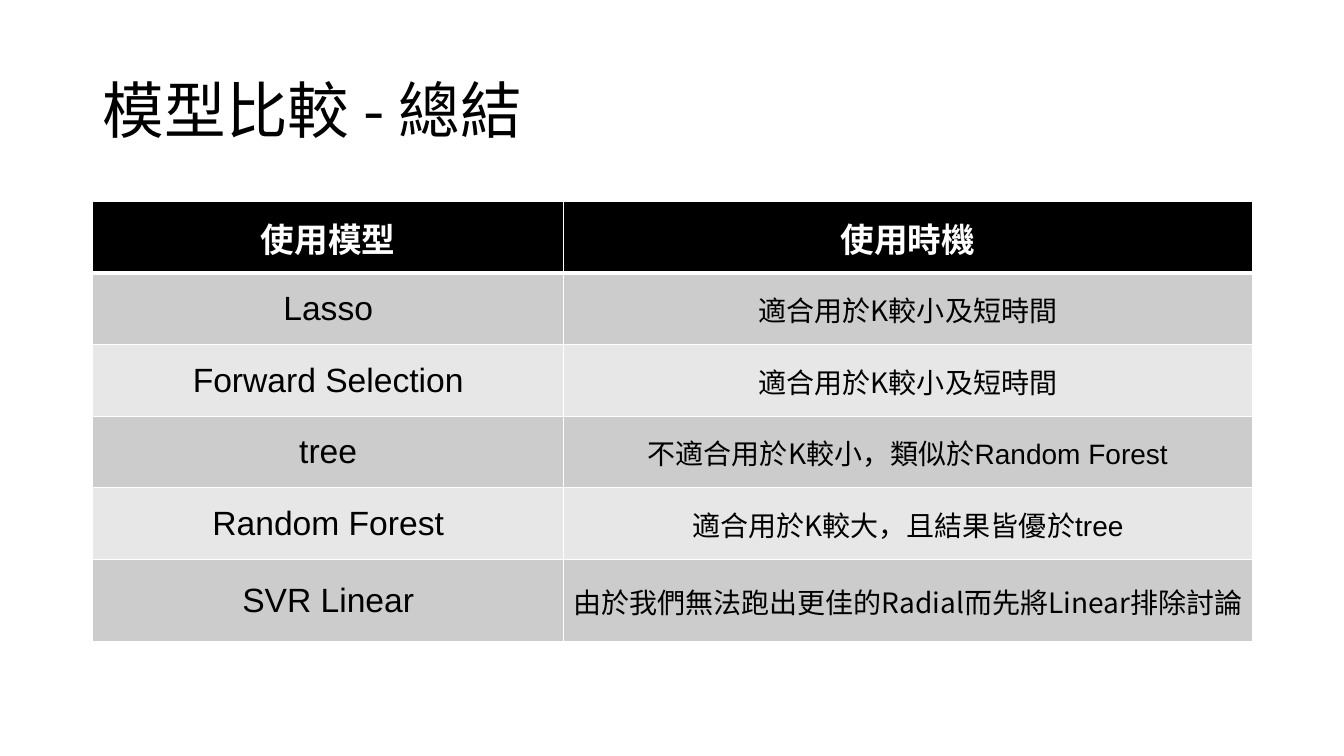
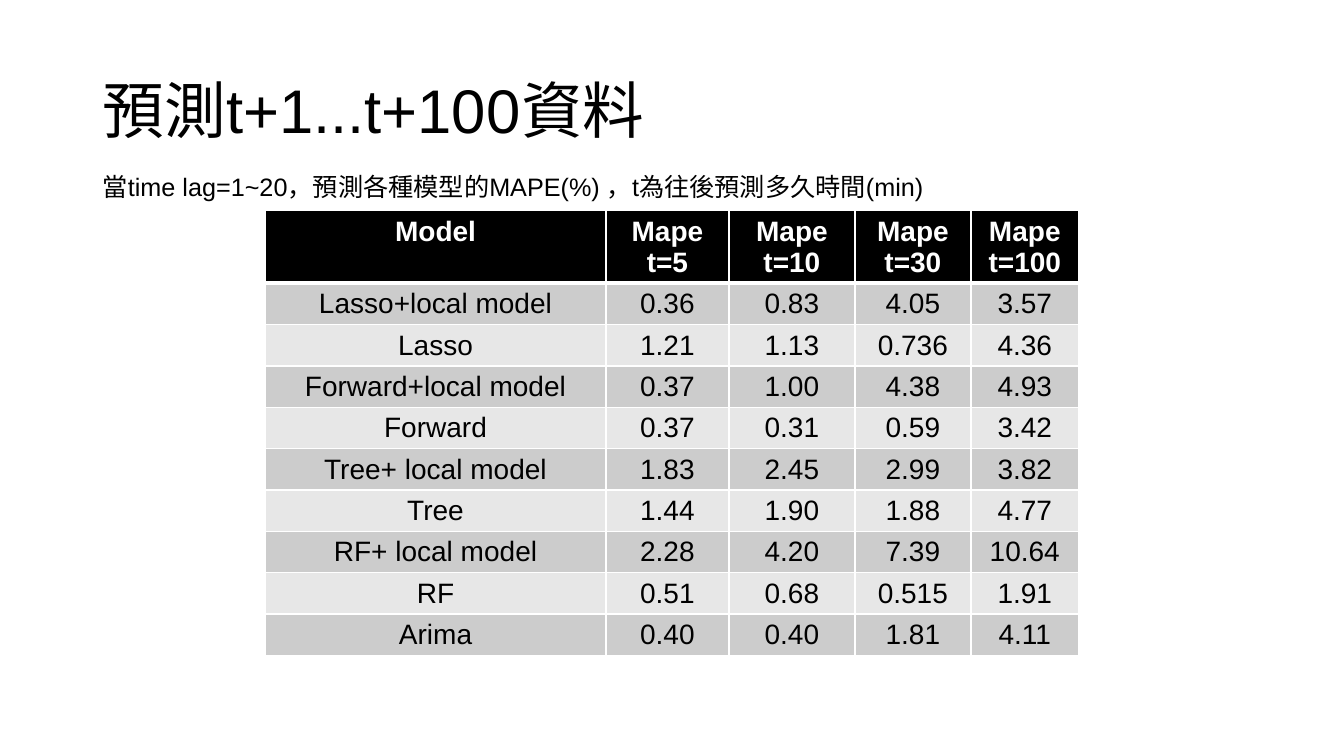
import pptx
import pptx.util
import pptx.dml.color
import pptx.enum.text
import pptx.oxml
import pptx.oxml.ns

Inches = pptx.util.Inches
Align = pptx.enum.text.PP_ALIGN
Anchor = pptx.enum.text.MSO_ANCHOR
Fit = pptx.enum.text.MSO_AUTO_SIZE

COLORS = {"ink": "000000", "paper": "FFFFFF", "dark": "CCCCCC", "light": "E7E7E7"}
LATIN = "Arial"
HAN = "Noto Sans CJK SC"
TIGHT = {"margin_left": Inches(0.01), "margin_right": Inches(0.01),
         "margin_top": Inches(0.01), "margin_bottom": Inches(0)}

USES = [
    ("使用模型", "使用時機"),
    ("Lasso", "適合用於K較小及短時間"),
    ("Forward Selection", "適合用於K較小及短時間"),
    ("tree", [("不適合用於K較小，類似於", HAN), ("Random Forest", LATIN)]),
    ("Random Forest", [("適合用於K較大，且結果皆優於", HAN), ("tree", LATIN)]),
    ("SVR Linear", "由於我們無法跑出更佳的Radial而先將Linear排除討論"),
]
SCORES = [
    ("Model", "Mape t=5", "Mape\nt=10", "Mape\nt=30", "Mape\nt=100"),
    ("Lasso+local model", "0.36", "0.83", "4.05", "3.57"),
    ("Lasso", "1.21", "1.13", "0.736", "4.36"),
    ("Forward+local model", "0.37", "1.00", "4.38", "4.93"),
    ("Forward", "0.37", "0.31", "0.59", "3.42"),
    ("Tree+ local model", "1.83", "2.45", "2.99", "3.82"),
    ("Tree", "1.44", "1.90", "1.88", "4.77"),
    ("RF+ local model", "2.28", "4.20", "7.39", "10.64"),
    ("RF", "0.51", "0.68", "0.515", "1.91"),
    ("Arima", "0.40", "0.40", "1.81", "4.11"),
]


def shade(name):
    return pptx.dml.color.RGBColor.from_string(COLORS[name])


def apply(item, values):
    for name, value in values.items():
        setattr(item, name, value)


def add_run(para, text, size, face, color="ink", bold=False):
    run = para.add_run()
    run.text = text
    apply(run.font, {"size": pptx.util.Pt(size), "name": face, "bold": bold})
    run.font.color.rgb = shade(color)
    east = pptx.oxml.parse_xml(
        f'<a:ea {pptx.oxml.ns.nsdecls("a")} typeface="{HAN}"/>')
    run.font._element.append(east)


def add_slide(deck, title, face):
    slide = deck.slides.add_slide(deck.slide_layouts[5])
    head = slide.shapes.title
    apply(head, {"left": Inches(0.92), "top": Inches(0.4),
                 "width": Inches(11.5), "height": Inches(1.45)})
    apply(head.text_frame, {"word_wrap": True, "auto_size": Fit.NONE,
                            "vertical_anchor": Anchor.MIDDLE})
    para = head.text_frame.paragraphs[0]
    apply(para, {"alignment": Align.LEFT, "line_spacing": 0.9})
    add_run(para, title, 44, face)
    return slide


def add_note(slide, text):
    box = slide.shapes.add_textbox(Inches(0.92), Inches(1.65), Inches(8.5), Inches(0.4))
    box.text_frame.word_wrap = True
    add_run(box.text_frame.paragraphs[0], text, 18, LATIN)


def set_edges(cell, row):
    props = cell._tc.get_or_add_tcPr()
    thick = {"T": row == 1, "B": row == 0}
    for side in "LRTB":
        width = pptx.util.Pt(3 if thick.get(side) else 1)
        props.append(pptx.oxml.parse_xml(
            f'<a:ln{side} {pptx.oxml.ns.nsdecls("a")} w="{width}"><a:solidFill>'
            f'<a:srgbClr val="{COLORS["paper"]}"/></a:solidFill></a:ln{side}>'))


def fill_cell(cell, row, content, size, face, anchor):
    set_edges(cell, row)
    cell.fill.solid()
    cell.fill.fore_color.rgb = shade("ink" if row == 0 else "dark" if row % 2 else "light")
    cell.vertical_anchor = anchor
    if isinstance(content, str):
        lines = [[(line, face)] for line in content.split("\n")]
    else:
        lines = [content]
    frame = cell.text_frame
    for index, parts in enumerate(lines):
        para = frame.add_paragraph() if index else frame.paragraphs[0]
        para.alignment = Align.CENTER
        for text, font in parts:
            add_run(para, text, size, font, "ink" if row else "paper", row == 0)


def add_grid(slide, left, top, widths, heights):
    table = slide.shapes.add_table(
        len(heights), len(widths), Inches(left), Inches(top),
        Inches(sum(widths)), Inches(sum(heights))).table
    for column, width in zip(table.columns, widths):
        column.width = Inches(width)
    for row, height in zip(table.rows, heights):
        row.height = Inches(height)
    return table


def add_uses(slide):
    table = add_grid(slide, 0.92, 2, [4.67, 6.83], [0.71] * len(USES))
    for row, texts in enumerate(USES):
        for col, text in enumerate(texts):
            cell = table.cell(row, col)
            hint = row > 0 and col == 1
            face = HAN if row == 0 or hint else LATIN
            fill_cell(cell, row, text, 20 if hint else 24, face, Anchor.MIDDLE)
            if hint:
                apply(cell, TIGHT)


def add_scores(slide):
    table = add_grid(slide, 2.63, 2.09, [3.38, 1.22, 1.25, 1.15, 1.07],
                     [0.71] + [0.41] * (len(SCORES) - 1))
    for row, texts in enumerate(SCORES):
        for col, text in enumerate(texts):
            fill_cell(table.cell(row, col), row, text, 20, LATIN, Anchor.TOP)


def main():
    deck = pptx.Presentation()
    apply(deck, {"slide_width": Inches(13.33), "slide_height": Inches(7.5)})
    add_uses(add_slide(deck, "模型比較 - 總結", HAN))
    slide = add_slide(deck, "預測t+1...t+100資料", LATIN)
    add_scores(slide)
    add_note(slide, "當time lag=1~20，預測各種模型的MAPE(%) ，t為往後預測多久時間(min)")
    deck.save("out.pptx")


if __name__ == "__main__":
    main()
